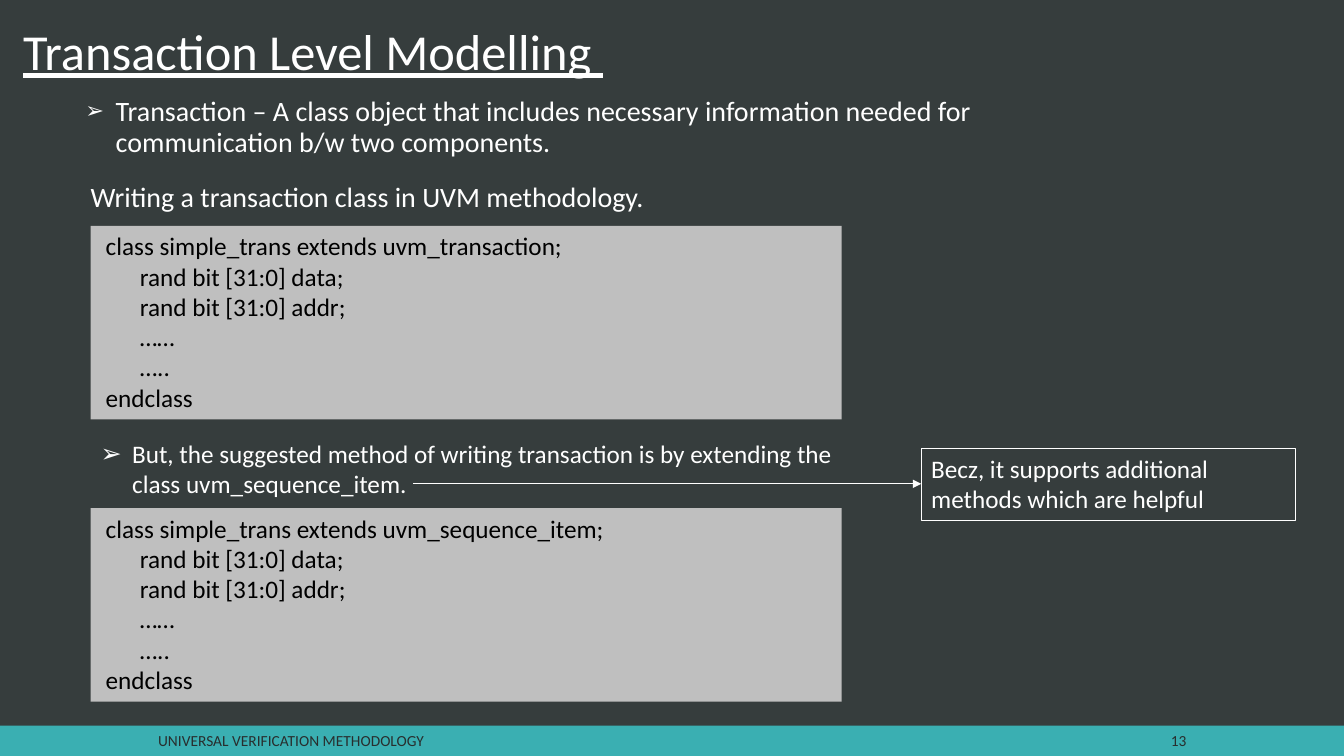
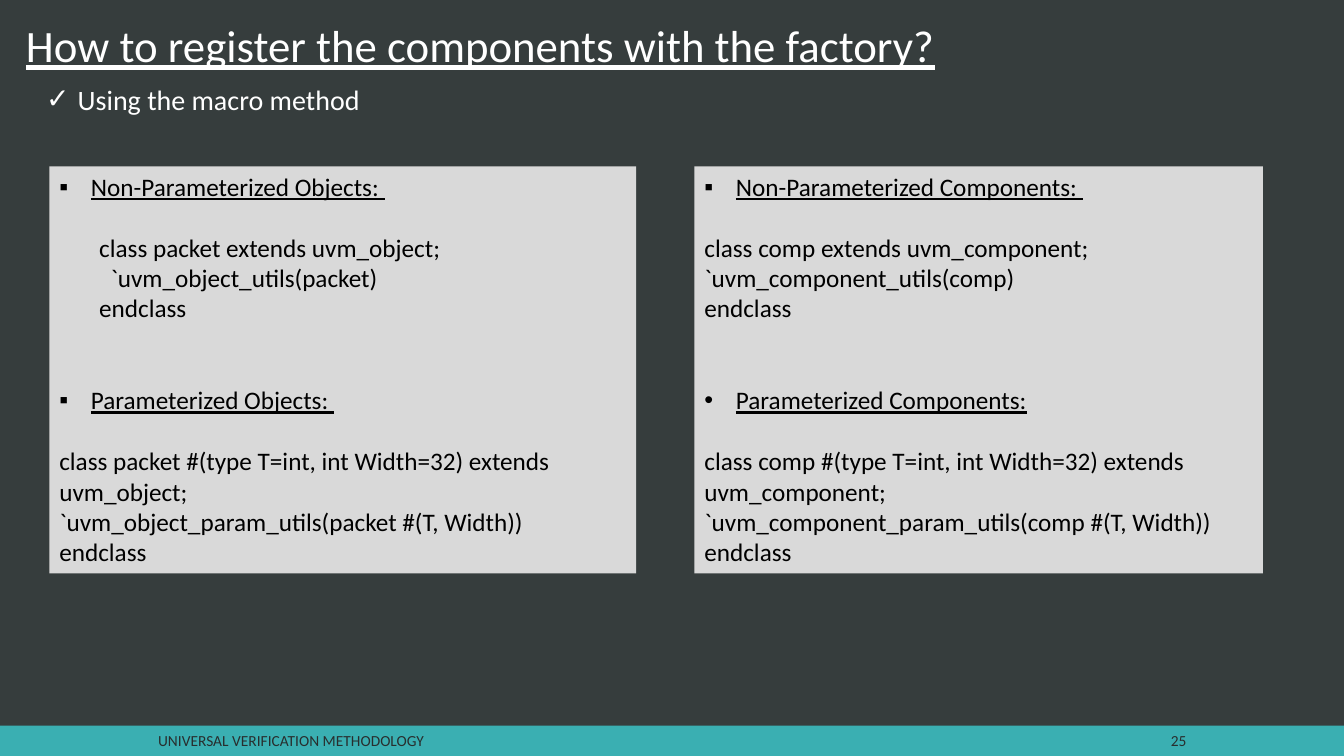
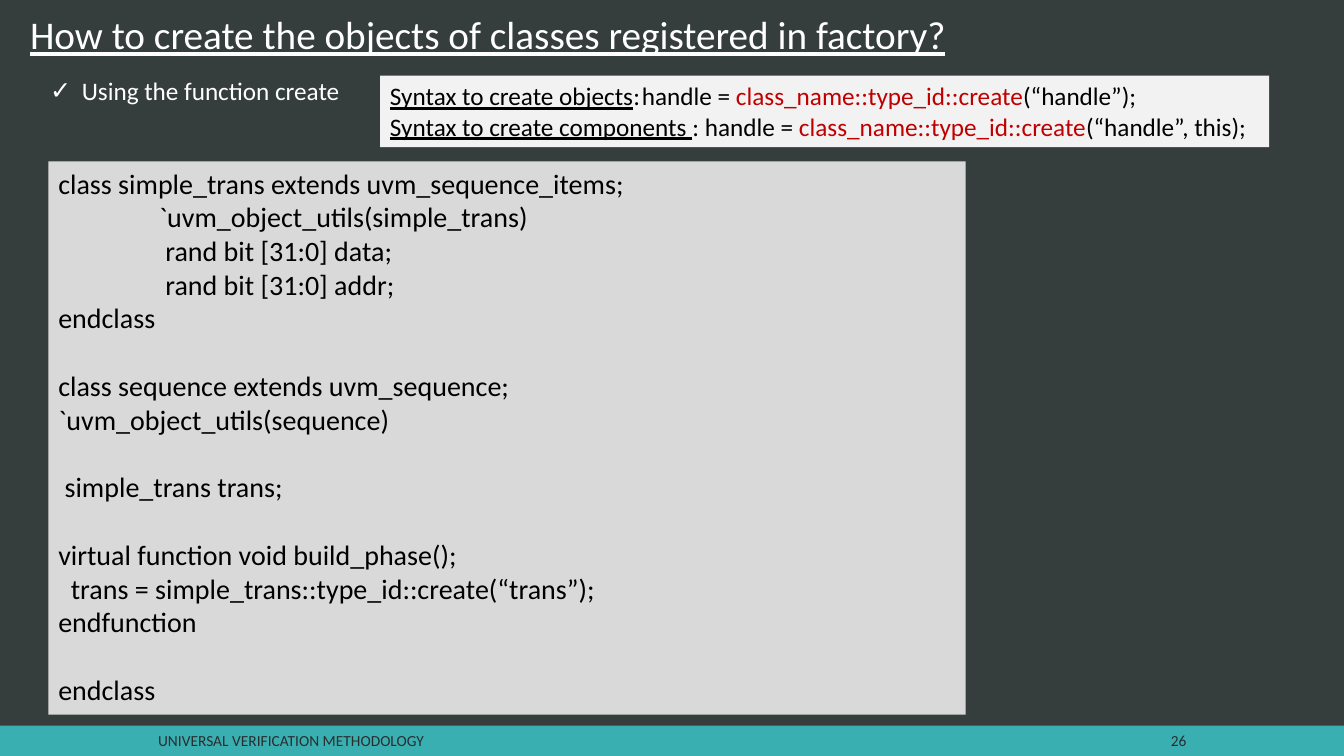
"""Build three slides on transactions and the factory in UVM."""
from collections import namedtuple

from lxml import etree
from pptx import Presentation
from pptx.dml.color import RGBColor
from pptx.enum import shapes, text
from pptx.oxml import ns
from pptx.util import Pt

DARK = RGBColor(0x36, 0x3D, 0x3D)
TEAL = RGBColor(0x3A, 0xAF, 0xB2)
SLATE = RGBColor(0x28, 0x2E, 0x2E)
WHITE = RGBColor(0xFF, 0xFF, 0xFF)
BLACK = RGBColor(0x00, 0x00, 0x00)
RED = RGBColor(0xC0, 0x00, 0x00)
GREY = RGBColor(0xBF, 0xBF, 0xBF)
PALE = RGBColor(0xD9, 0xD9, 0xD9)
LIGHT = RGBColor(0xF2, 0xF2, 0xF2)

HANG = 22.5
Row = namedtuple("Row", "text left gap mark under tab",
                 defaults=(0, 0, None, False, None))


def child(node, tag, **attrs):
    """Append a drawing element with its attributes."""
    return etree.SubElement(node, ns.qn(tag), attrs)


class Deck:
    """Hold the style and the current slide."""

    font = "Calibri"
    wide, high, band = 960, 540, 21.6

    def __init__(self):
        """Start a deck with a dark background."""
        self.prs = Presentation()
        self.prs.slide_width = Pt(self.wide)
        self.prs.slide_height = Pt(self.high)
        back = self.prs.slide_master.background.fill
        back.solid()
        back.fore_color.rgb = DARK

    def page(self, num):
        """Add a slide with its band, footer and number."""
        self.slide = self.prs.slides.add_slide(self.prs.slide_layouts[6])
        top = self.high - self.band
        self.box((0, top, self.wide, self.band), TEAL)
        for label, x, w, side in (
                ("UNIVERSAL VERIFICATION METHODOLOGY", 105.84, 563.76,
                 text.PP_ALIGN.LEFT),
                (str(num), 804.24, 50.4, text.PP_ALIGN.RIGHT)):
            frame = self.note((x, top + 1.44, w, 18.72), [Row(label)], 11, SLATE)
            frame.vertical_anchor = text.MSO_ANCHOR.MIDDLE
            frame.paragraphs[0].alignment = side

    def title(self, area, label, size, left=0, space=1):
        """Add an underlined title."""
        self.note(area, [Row(label, left, under=True)], size, space=space)

    def note(self, area, rows, size, ink=WHITE, space=1):
        """Add a plain text box."""
        shape = self.slide.shapes.add_textbox(*map(Pt, area))
        return self.put(shape.text_frame, rows, size, ink, space)

    def box(self, area, fill=None, rows=(), size=18, ink=BLACK, edge=None):
        """Add a rectangle, filled or outlined, with optional rows."""
        shape = self.slide.shapes.add_shape(
            shapes.MSO_SHAPE.RECTANGLE, *map(Pt, area))
        shape.shadow.inherit = False
        if fill is None:
            shape.fill.background()
        else:
            shape.fill.solid()
            shape.fill.fore_color.rgb = fill
        if edge is None:
            shape.line.fill.background()
        else:
            shape.line.color.rgb = edge
            shape.line.width = Pt(0.75)
        if rows:
            self.put(shape.text_frame, rows, size, ink)

    def arrow(self, start, end):
        """Add a thin line with an arrowhead at its end."""
        link = self.slide.shapes.add_connector(
            shapes.MSO_CONNECTOR.STRAIGHT, *map(Pt, start + end))
        link.line.color.rgb = WHITE
        link.line.width = Pt(0.5)
        props = link._element.spPr
        child(props.find(ns.qn("a:ln")), "a:tailEnd", type="triangle")
        child(props, "a:effectLst")

    def put(self, frame, rows, size, ink, space=1):
        """Fill a text frame with rows."""
        frame.word_wrap = True
        frame.vertical_anchor = text.MSO_ANCHOR.TOP
        for i, row in enumerate(rows):
            para = frame.paragraphs[0] if i == 0 else frame.add_paragraph()
            para.alignment = text.PP_ALIGN.LEFT
            para.line_spacing = space
            para.space_before = Pt(row.gap)
            self.indent(para, row)
            if isinstance(row.text, str):
                para.text = row.text
                self.style(para.runs[0], size, ink, row.under)
            else:
                for words, tint, under in row.text:
                    run = para.add_run()
                    run.text = words
                    self.style(run, size, tint, under)
        return frame

    def indent(self, para, row):
        """Set the margin, bullet and tab stop of a paragraph."""
        props = para._p.get_or_add_pPr()
        props.set("marL", str(int(Pt(row.left))))
        hang = min(row.left, HANG) if row.mark else 0
        props.set("indent", str(-int(Pt(hang))))
        if row.mark:
            if row.mark == "➢" and row.left < HANG:
                child(props, "a:buSzPct", val="80000")
            child(props, "a:buFont", typeface="Arial")
            child(props, "a:buChar", char=row.mark)
        if row.tab:
            stops = child(props, "a:tabLst")
            child(stops, "a:tab", pos=str(int(Pt(row.tab))), algn="l")

    def style(self, run, size, ink, under):
        """Format one run."""
        run.font.name = self.font
        run.font.size = Pt(size)
        run.font.color.rgb = ink
        run.font.underline = under


def model(deck):
    """Build the slide on transaction modelling."""
    deck.page(13)
    deck.title((9.36, 10.8, 754.56, 51.12), "Transaction Level Modelling ", 36)
    deck.note((54, 66.24, 709.92, 95.04), [
        Row("Transaction – A class object that includes necessary information "
            "needed for communication b/w two components.", 21.6, mark="➢"),
        Row("Writing a transaction class in UVM methodology.", 3.6, 18),
    ], 20, space=0.9)
    for top, base in ((161.28, "uvm_transaction"), (362.88, "uvm_sequence_item")):
        inner = ("rand bit [31:0] data;", "rand bit [31:0] addr;", "……", "…..")
        deck.box((64.8, top, 536.4, 138.24), GREY, [
            Row(f"class simple_trans extends {base};", 3.6),
            *(Row(line, 28) for line in inner),
            Row("endclass", 3.6)])
    deck.note((64.8, 309.6, 547.92, 50.4), [
        Row("But, the suggested method of writing transaction is by extending "
            "the class uvm_sequence_item.", HANG, mark="➢")], 18)
    deck.box((658.08, 320.4, 267.12, 51.12), rows=[
        Row("Becz, it supports additional methods which are helpful")],
        ink=WHITE, edge=WHITE)
    deck.arrow((295.2, 345.6), (658.08, 345.6))


def macro(deck):
    """Build the slide on registering with macros."""
    deck.page(25)
    deck.title((7.92, 13.68, 707.76, 48.96),
               "How to register the components with the factory?", 32, 3.6, 0.9)
    deck.note((25.92, 55.44, 643.68, 31.68),
              [Row("Using the macro method", HANG, mark="✓")], 20)
    deck.box((35.28, 118.8, 419.04, 290.88), PALE, [
        Row("Non-Parameterized Objects: ", HANG, mark="▪", under=True),
        Row("class packet extends uvm_object;", 28.5, 22),
        Row("`uvm_object_utils(packet)", 36.6),
        Row("endclass", 28.5),
        Row("Parameterized Objects: ", HANG, 44, "▪", True),
        Row("class packet #(type T=int, int Width=32) extends uvm_object;", gap=22),
        Row("`uvm_object_param_utils(packet #(T, Width))"),
        Row("endclass")])
    deck.box((496.08, 118.8, 406.08, 290.88), PALE, [
        Row("Non-Parameterized Components: ", HANG, mark="▪", under=True),
        Row("class comp extends uvm_component;", gap=22),
        Row("`uvm_component_utils(comp)"),
        Row("endclass"),
        Row("Parameterized Components:", HANG, 44, "•", True),
        Row("class comp #(type T=int, int Width=32) extends", gap=22),
        Row("uvm_component;"),
        Row("`uvm_component_param_utils(comp #(T, Width))"),
        Row("endclass")])


def create(deck):
    """Build the slide on creating registered objects."""
    deck.page(26)
    deck.title((10.8, 7.92, 720, 42.48),
               "How to create the objects of classes registered in factory?",
               28, 3.6, 0.9)
    deck.note((28.8, 50.4, 635.04, 28.8),
              [Row("Using the function create", HANG, mark="✓")], 18)
    blank = 24.4
    deck.box((34.56, 115.2, 655.2, 395.28), PALE, [
        Row("class simple_trans extends uvm_sequence_items;"),
        Row("`uvm_object_utils(simple_trans)", 72),
        Row("rand bit [31:0] data;", 76.5),
        Row("rand bit [31:0] addr;", 76.5),
        Row("endclass"),
        Row("class sequence extends uvm_sequence;", gap=blank),
        Row("`uvm_object_utils(sequence)"),
        Row("simple_trans trans;", 4.5, blank),
        Row("virtual function void build_phase();", gap=blank),
        Row("trans = simple_trans::type_id::create(“trans”);", 9),
        Row("endfunction"),
        Row("endclass", gap=blank)], 20)
    syntax = (("Syntax to create objects", ":\thandle = ", "(“handle”);"),
              ("Syntax to create components ", ": handle = ", "(“handle”, this);"))
    deck.box((271.44, 54, 635.04, 51.12), LIGHT, [
        Row([(head, BLACK, True), (mid, BLACK, False),
             ("class_name::type_id::create", RED, False), (tail, BLACK, False)],
            tab=223.6)
        for head, mid, tail in syntax])


def main():
    """Build and save the deck."""
    deck = Deck()
    for build in (model, macro, create):
        build(deck)
    deck.prs.save("out.pptx")


if __name__ == "__main__":
    main()
